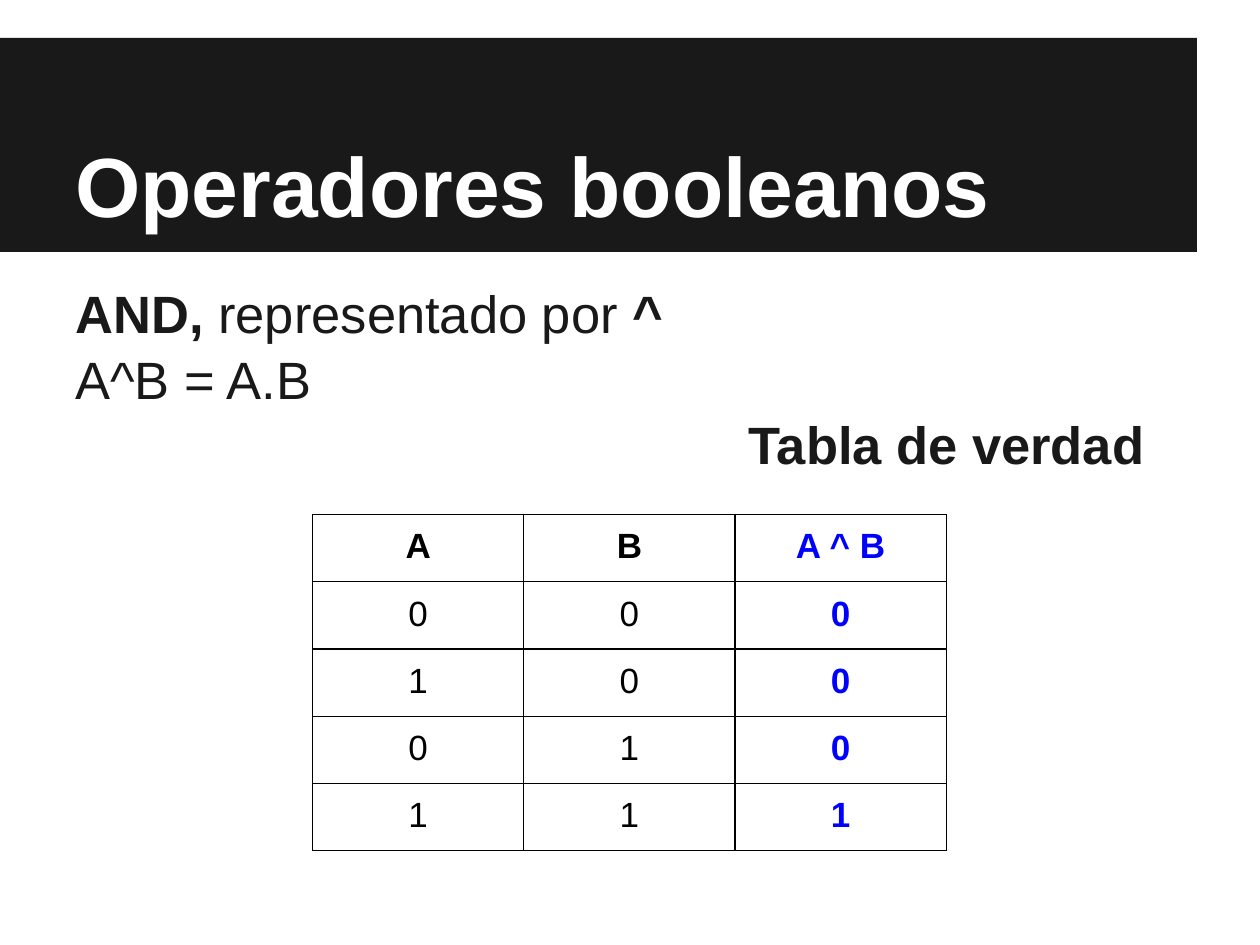
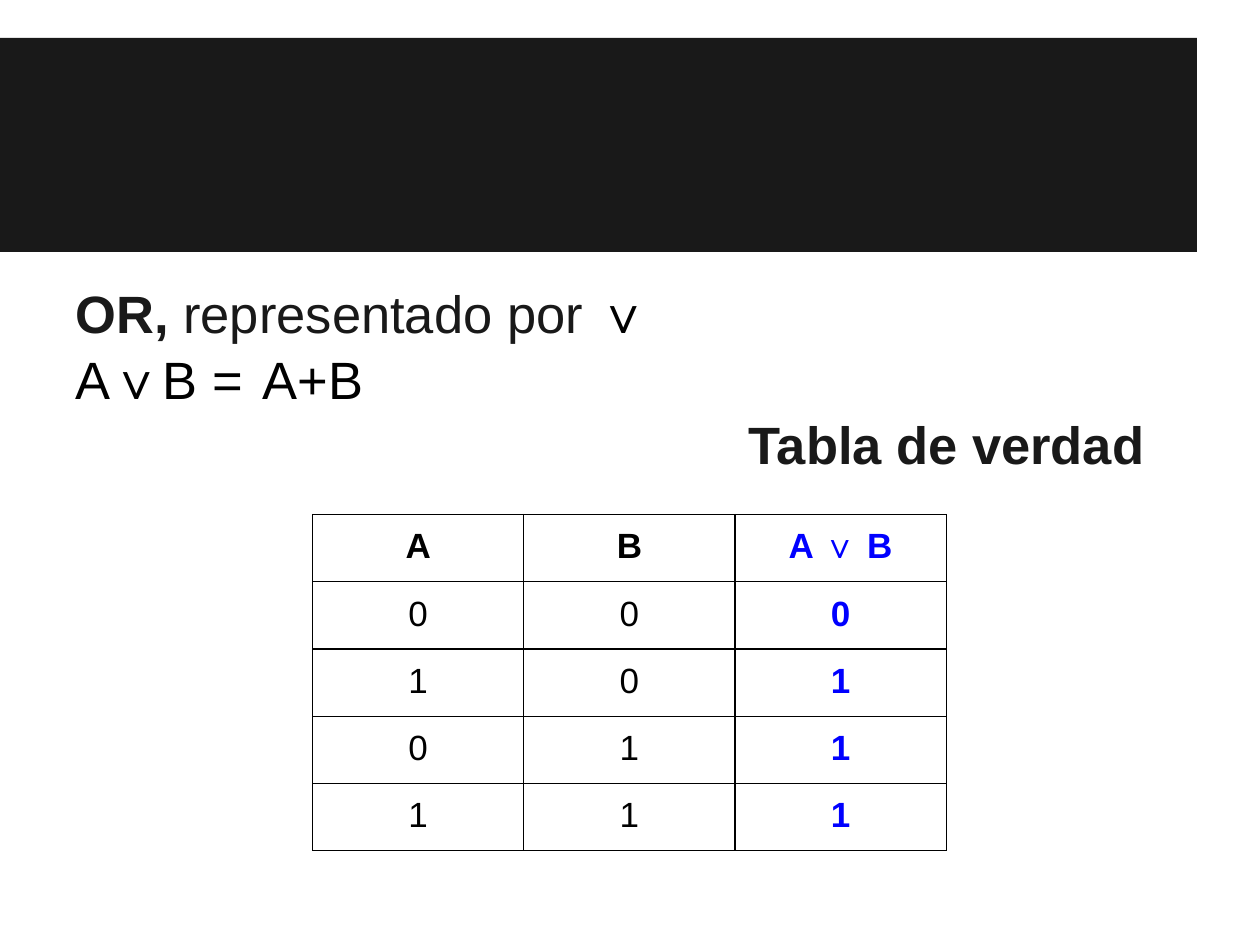
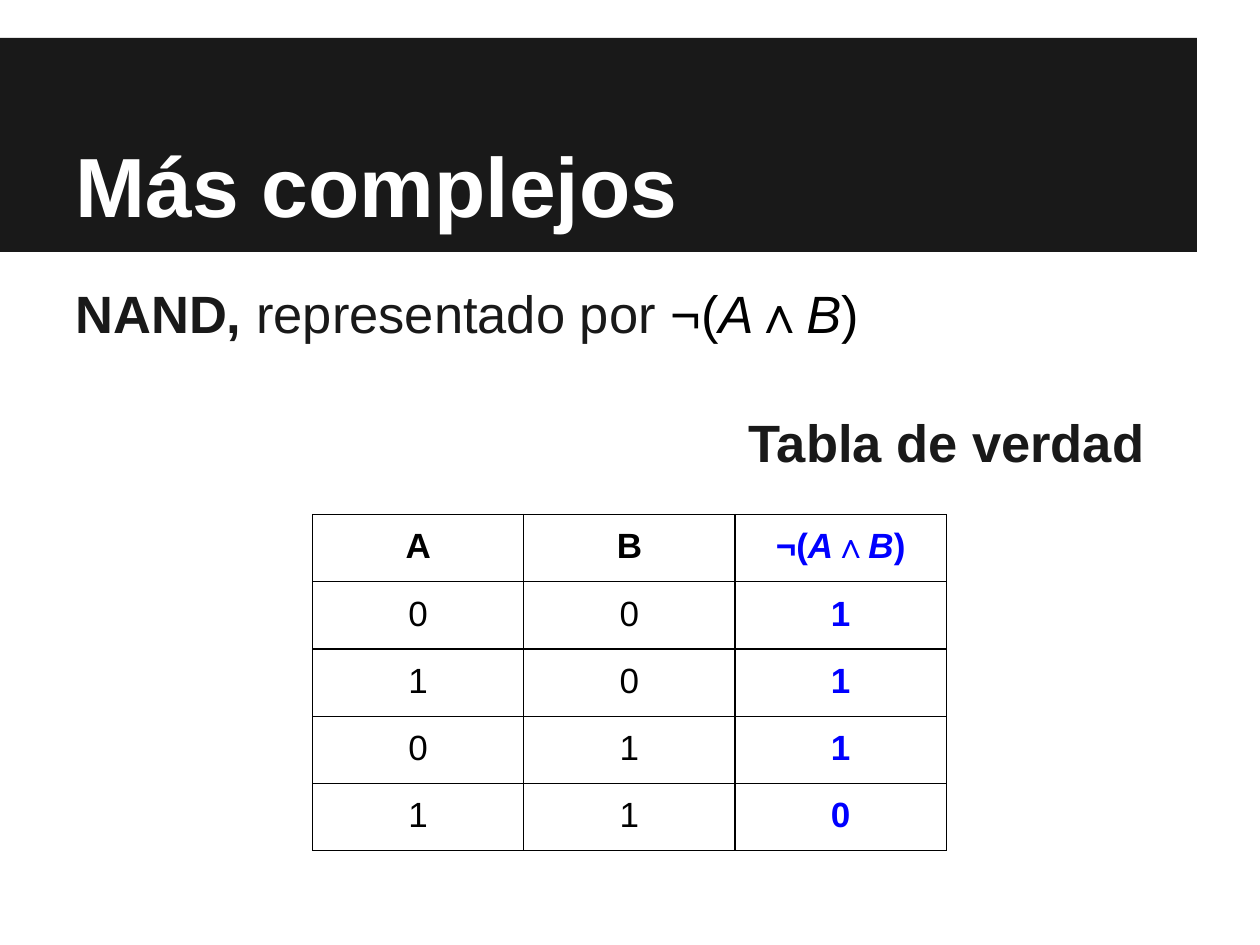
from collections.abc import Callable
from dataclasses import dataclass

from lxml import etree
from pptx import Presentation
from pptx import util as u
from pptx.dml.color import RGBColor
from pptx.enum import shapes, text
from pptx.oxml import ns

Pt = u.Pt
COLORS = {"dark": "191919", "white": "FFFFFF", "black": "000000", "blue": "0000FF"}
FONT = "Arial"
INSET = Pt(7.2)
BODY_SIZE = 30
LINE_PITCH = 36
LINE_GAP = 1.5
HEADING_INDENT = Pt(384.8)
COLUMN_WIDTH = Pt(120.7)
ROW_HEIGHT = Pt(30.24)
INPUTS = [(0, 0), (1, 0), (0, 1), (1, 1)]


@dataclass(frozen=True)
class Piece:
    """A stretch of text; fields left at None follow the paragraph."""
    text: str
    bold: bool | None = None
    italic: bool | None = None
    color: str | None = None
    size: float | None = None


@dataclass(frozen=True)
class Operator:
    title: str | None
    lines: list[list[Piece]]
    symbol: list[Piece]
    result: Callable[[int, int], int]


def formula(color: str | None = None) -> list[Piece]:
    return [Piece(part, italic=part in "AB", color=color)
            for part in ("¬(", "A", "∧", "B", ")")]


OPERATORS = [
    Operator(
        "Operadores booleanos",
        [[Piece("AND, ", bold=True), Piece("representado por"), Piece(" ^", bold=True)],
         [Piece("A^B = A.B")]],
        [Piece("A ^ B")],
        lambda a, b: a & b,
    ),
    Operator(
        None,
        [[Piece("OR, ", bold=True), Piece("representado por "),
          Piece("∨", bold=True, color="black")],
         [Piece("A∨B = ", color="black"), Piece(" ", size=10),
          Piece("A+B", color="black")]],
        [Piece("A "), Piece("∨"), Piece(" B")],
        lambda a, b: a | b,
    ),
    Operator(
        "Más complejos",
        [[Piece("NAND, ", bold=True), Piece("representado por "), *formula("black")]],
        formula(),
        lambda a, b: 1 - (a & b),
    ),
]


def rgb(name: str) -> RGBColor:
    return RGBColor.from_string(COLORS[name])


def write(paragraph, pieces: list[Piece], size: float, color: str, bold: bool = False) -> None:
    font = paragraph.font
    font.name, font.size, font.bold = FONT, Pt(size), bold
    font.color.rgb = rgb(color)
    for piece in pieces:
        run = paragraph.add_run()
        run.text = piece.text
        run.font.bold, run.font.italic = piece.bold, piece.italic
        if piece.color:
            run.font.color.rgb = rgb(piece.color)
        if piece.size:
            run.font.size = Pt(piece.size)


def add_text_frame(slide, top: float, height: float, anchor):
    frame = slide.shapes.add_textbox(Pt(36), Pt(top), Pt(648), Pt(height)).text_frame
    frame.word_wrap = True
    frame.vertical_anchor = anchor
    frame.margin_left = frame.margin_right = INSET
    frame.margin_top = frame.margin_bottom = INSET
    return frame


def add_band(slide) -> None:
    band = slide.shapes.add_shape(
        shapes.MSO_SHAPE.RECTANGLE, 0, Pt(21.6), Pt(684), Pt(122.4))
    band.shadow.inherit = False
    band.fill.solid()
    band.fill.fore_color.rgb = rgb("dark")
    band.line.fill.background()


def add_title(slide, title: str) -> None:
    frame = add_text_frame(slide, 21.6, 119.5, text.MSO_ANCHOR.BOTTOM)
    write(frame.paragraphs[0], [Piece(title)], 48, "white", bold=True)


def add_body(slide, lines: list[list[Piece]]) -> None:
    """Write the definition, then the table heading on the third line."""
    frame = add_text_frame(slide, 153.4, 363.6, text.MSO_ANCHOR.TOP)
    for index, line in enumerate(lines):
        paragraph = frame.add_paragraph() if index else frame.paragraphs[0]
        paragraph.space_before = Pt(LINE_GAP)
        write(paragraph, line, BODY_SIZE, "dark")
    heading = frame.add_paragraph()
    heading.space_before = Pt(LINE_GAP + LINE_PITCH * (2 - len(lines)))
    write(heading, [Piece("Tabla de verdad")], BODY_SIZE, "dark", bold=True)
    heading._p.get_or_add_pPr().set("marL", str(HEADING_INDENT))


def add_borders(cell) -> None:
    properties = cell._tc.get_or_add_tcPr()
    for side in ("a:lnL", "a:lnR", "a:lnT", "a:lnB"):
        line = etree.SubElement(properties, ns.qn(side), w=str(Pt(0.75)))
        fill = etree.SubElement(line, ns.qn("a:solidFill"))
        etree.SubElement(fill, ns.qn("a:srgbClr"), val=COLORS["black"])


def add_truth_table(slide, operator: Operator) -> None:
    rows = [[[Piece("A")], [Piece("B")], operator.symbol]]
    rows += [[[Piece(str(value))] for value in (a, b, operator.result(a, b))]
             for a, b in INPUTS]
    table = slide.shapes.add_table(
        len(rows), 3, Pt(178.6), Pt(294), COLUMN_WIDTH * 3, ROW_HEIGHT * len(rows)).table
    table.first_row = table.horz_banding = False
    for column in table.columns:
        column.width = COLUMN_WIDTH
    for row_index, row in enumerate(rows):
        table.rows[row_index].height = ROW_HEIGHT
        for column_index, pieces in enumerate(row):
            is_result = column_index == 2
            cell = table.cell(row_index, column_index)
            cell.margin_left = cell.margin_right = INSET
            cell.margin_top = cell.margin_bottom = INSET
            add_borders(cell)
            cell.fill.background()
            paragraph = cell.text_frame.paragraphs[0]
            paragraph.alignment = text.PP_ALIGN.CENTER
            write(paragraph, pieces, 20, "blue" if is_result else "black",
                  bold=is_result or row_index == 0)


def main() -> None:
    presentation = Presentation()
    presentation.slide_width, presentation.slide_height = Pt(720), Pt(540)
    for operator in OPERATORS:
        slide = presentation.slides.add_slide(presentation.slide_layouts[6])
        add_band(slide)
        if operator.title:
            add_title(slide, operator.title)
        add_body(slide, operator.lines)
        add_truth_table(slide, operator)
    presentation.save("out.pptx")


if __name__ == "__main__":
    main()
